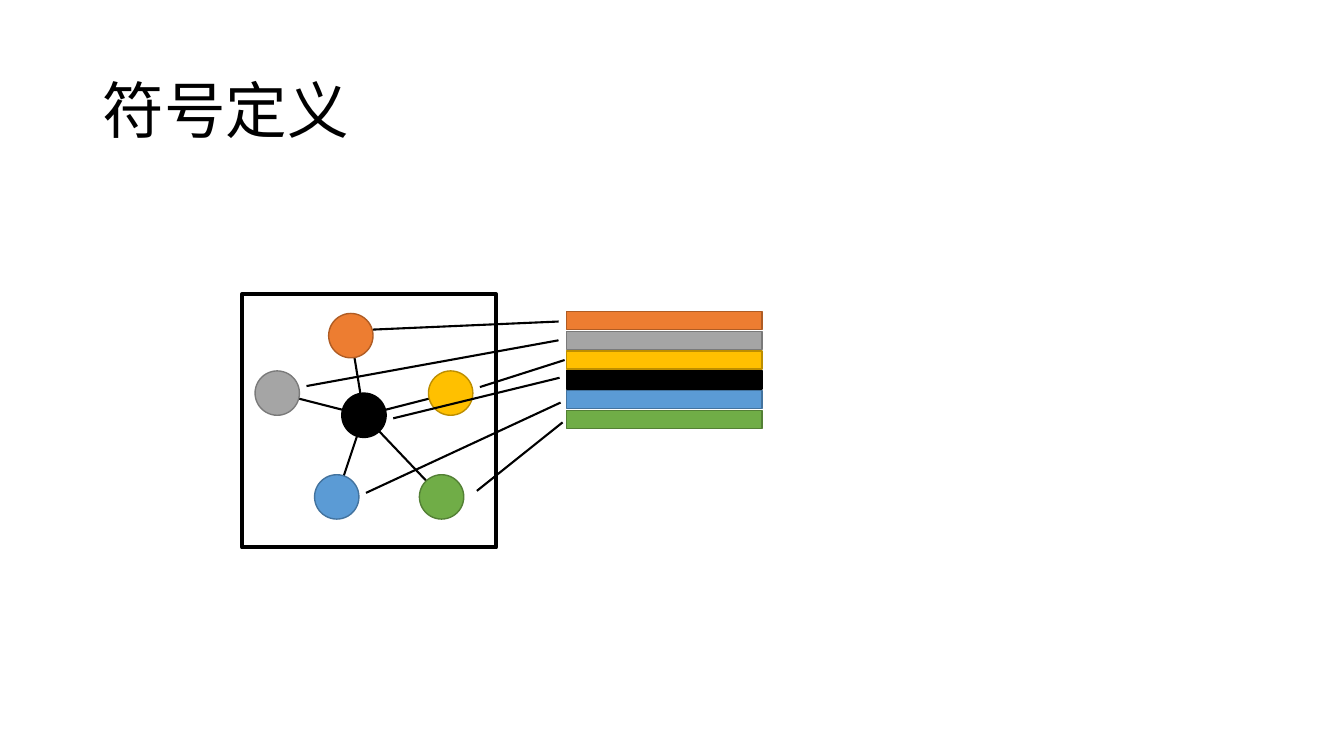
from collections import namedtuple

from lxml import etree
from pptx import Presentation
from pptx.dml.color import RGBColor
from pptx.enum import shapes, text
from pptx.oxml import ns
from pptx.util import Inches, Pt

BLACK = RGBColor(0x00, 0x00, 0x00)
ORANGE, DARK_ORANGE = RGBColor(0xED, 0x7D, 0x31), RGBColor(0xAF, 0x5C, 0x24)
GREY, DARK_GREY = RGBColor(0xA5, 0xA5, 0xA5), RGBColor(0x7A, 0x7A, 0x7A)
YELLOW, DARK_YELLOW = RGBColor(0xFF, 0xC0, 0x00), RGBColor(0xBD, 0x8E, 0x00)
BLUE, DARK_BLUE = RGBColor(0x5B, 0x9B, 0xD5), RGBColor(0x43, 0x73, 0x9E)
GREEN, DARK_GREEN = RGBColor(0x70, 0xAD, 0x47), RGBColor(0x53, 0x80, 0x35)
FONT = "Noto Sans CJK SC"
NODE_SIZE = 0.44
BAR_HEIGHT = 0.18

# center: node centre within the graph box
# start, end: link ends, offset from the node centre and the bar's left middle
Node = namedtuple("Node", "fill line center start end")
NODES = [
    Node(ORANGE, DARK_ORANGE, (1.08, 0.41), (0.22, -0.06), (-0.08, 0.01)),
    Node(GREY, DARK_GREY, (0.35, 0.98), (0.29, -0.07), (-0.08, 0)),
    Node(YELLOW, DARK_YELLOW, (2.07, 0.98), (0.29, -0.06), (-0.02, 0)),
    Node(BLACK, BLACK, (1.21, 1.20), (0.29, 0.03), (-0.07, -0.02)),
    Node(BLUE, DARK_BLUE, (0.94, 2.01), (0.29, -0.04), (-0.06, 0.03)),
    Node(GREEN, DARK_GREEN, (1.98, 2.01), (0.35, -0.06), (-0.04, 0.03)),
]
HUB = NODES[3]


def shift(point, offset):
    return point[0] + offset[0], point[1] + offset[1]


def add_line(s, start, end):
    line = s.shapes.add_connector(
        shapes.MSO_CONNECTOR.STRAIGHT, *map(Inches, start + end))
    line.line.color.rgb = BLACK
    line.line.width = Pt(1.5)
    etree.SubElement(line._element.spPr, ns.qn("a:effectLst"))


def add_shape(s, kind, box, fill, color, width=1):
    sp = s.shapes.add_shape(kind, *map(Inches, box))
    sp.shadow.inherit = False
    if fill is None:
        sp.fill.background()
    else:
        sp.fill.solid()
        sp.fill.fore_color.rgb = fill
    sp.line.color.rgb = color
    sp.line.width = Pt(width)


def add_title(s, box, words):
    tf = s.shapes.add_textbox(*map(Inches, box)).text_frame
    tf.word_wrap = True
    tf.vertical_anchor = text.MSO_ANCHOR.MIDDLE
    p = tf.paragraphs[0]
    p.line_spacing = 0.9
    r = p.add_run()
    r.text = words
    r.font.size = Pt(44)
    r.font.name = FONT
    r.font.color.rgb = BLACK
    # East Asian typeface
    etree.SubElement(r._r.get_or_add_rPr(), ns.qn("a:ea"), typeface=FONT)


def add_graph(s, box):
    """Draw the framed star graph and return the node centres."""
    centers = [shift(box[:2], node.center) for node in NODES]
    hub = shift(box[:2], HUB.center)
    # Spokes, behind the nodes
    for center in centers:
        if center != hub:
            add_line(s, center, hub)
    # Nodes
    for node, (x, y) in zip(NODES, centers):
        add_shape(s, shapes.MSO_SHAPE.OVAL,
                  (x - NODE_SIZE / 2, y - NODE_SIZE / 2, NODE_SIZE, NODE_SIZE),
                  node.fill, node.line)
    # Frame
    add_shape(s, shapes.MSO_SHAPE.RECTANGLE, box, None, BLACK, 3)
    return centers


def add_bars(s, box):
    """Stack one bar per node and return the middles of their left sides."""
    left, top, width, height = box
    pitch = (height - BAR_HEIGHT) / (len(NODES) - 1)
    middles = []
    for i, node in enumerate(NODES):
        y = top + i * pitch
        add_shape(s, shapes.MSO_SHAPE.RECTANGLE, (left, y, width, BAR_HEIGHT),
                  node.fill, node.line)
        middles.append((left, y + BAR_HEIGHT / 2))
    return middles


def add_links(s, centers, middles):
    for node, center, middle in zip(NODES, centers, middles):
        add_line(s, shift(center, node.start), shift(middle, node.end))


def main():
    prs = Presentation()
    prs.slide_width, prs.slide_height = Inches(13.33), Inches(7.5)
    s = prs.slides.add_slide(prs.slide_layouts[6])
    add_title(s, (0.92, 0.4, 11.5, 1.45), "符号定义")
    centers = add_graph(s, (2.4, 2.92, 2.52, 2.51))
    middles = add_bars(s, (5.62, 3.09, 1.94, 1.16))
    add_links(s, centers, middles)
    prs.save("out.pptx")


if __name__ == "__main__":
    main()
